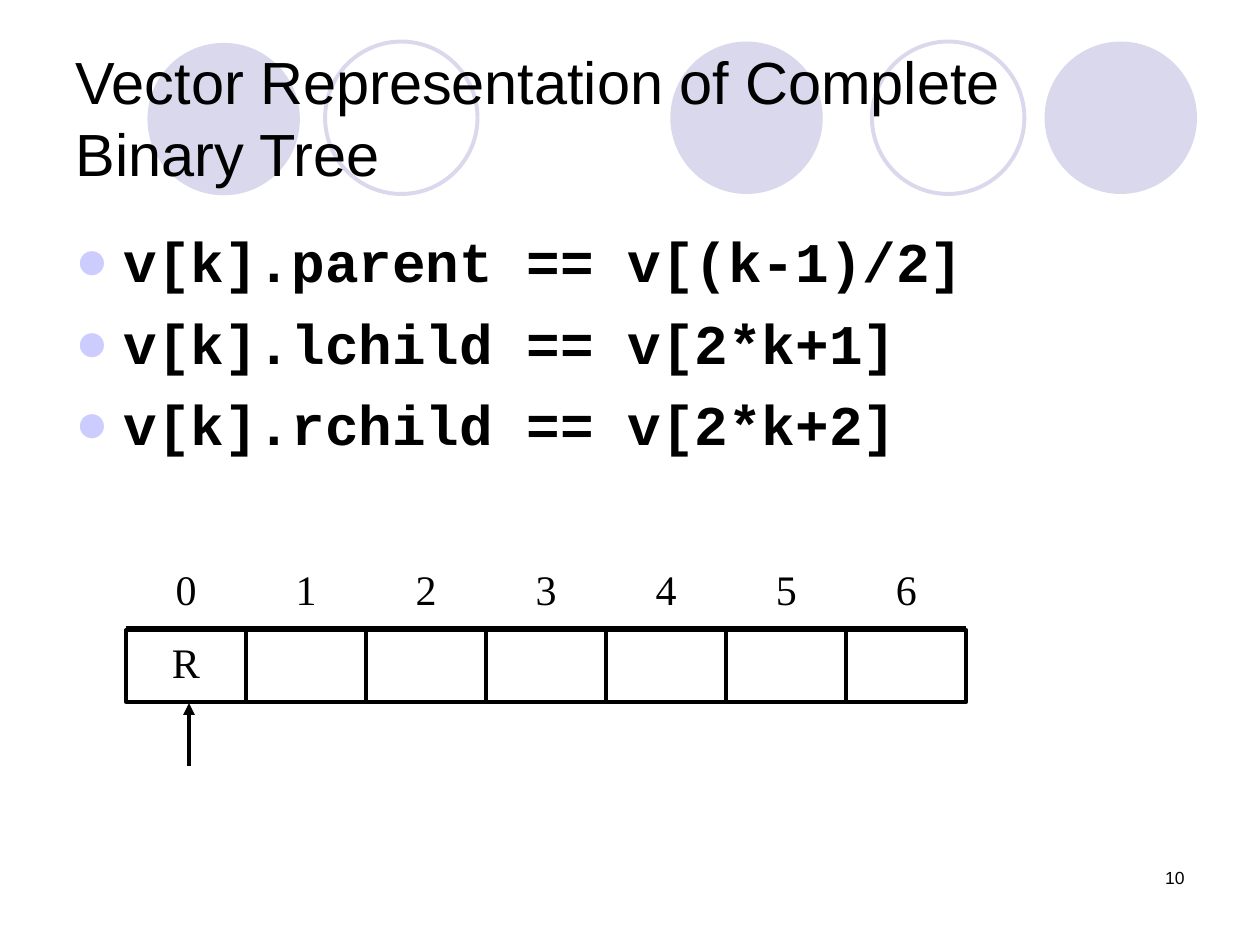
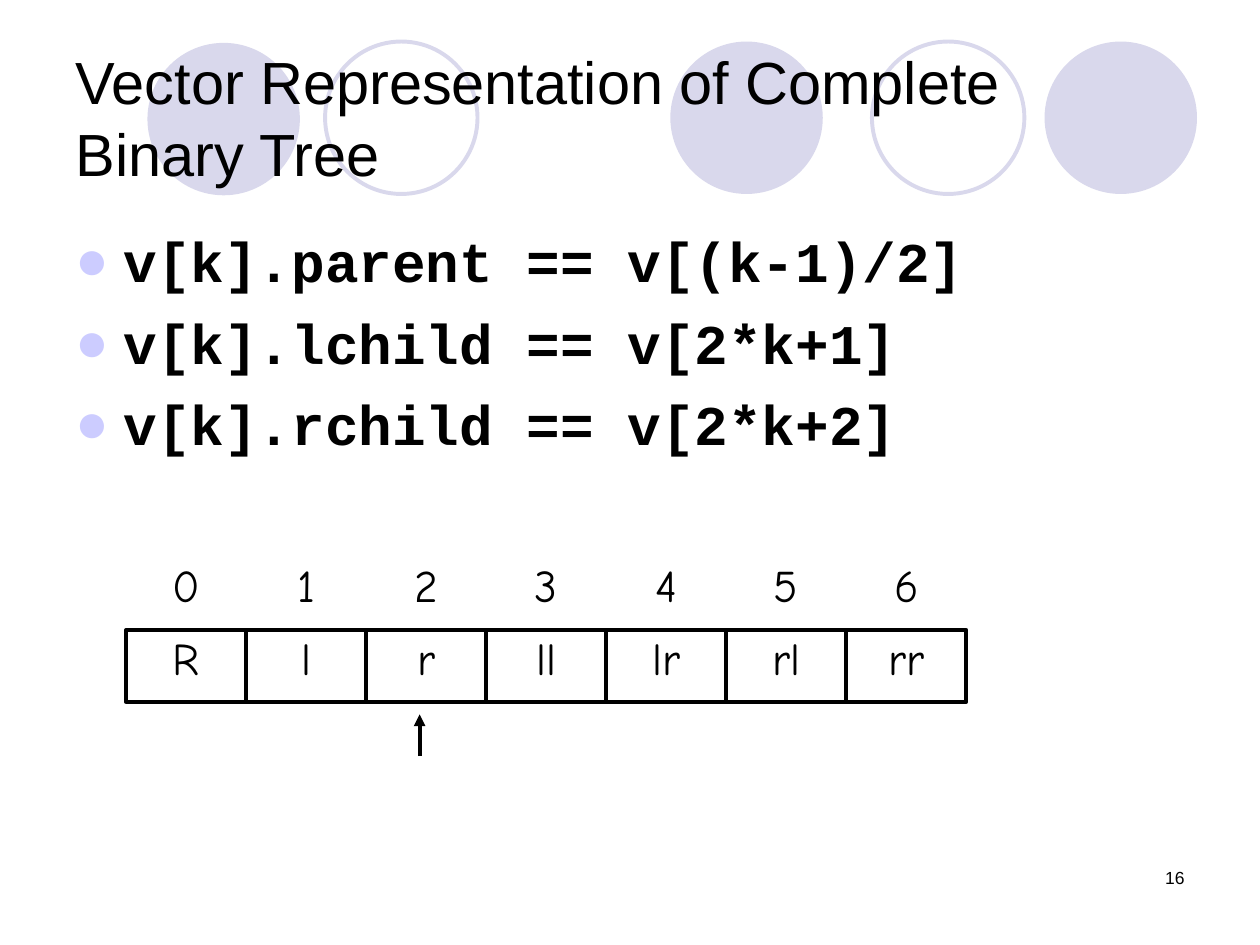
from lxml.etree import SubElement
from pptx import Presentation
from pptx.dml.color import RGBColor
from pptx.enum.shapes import MSO_CONNECTOR, MSO_SHAPE
from pptx.enum.text import MSO_ANCHOR, MSO_AUTO_SIZE, PP_ALIGN
from pptx.oxml.ns import qn
from pptx.util import Inches, Pt

COLORS = {"ink": "000000", "circle": "D9D8EC", "bullet": "CCCCFF"}
LINE_WIDTH = 2.24
TITLE = "Vector Representation of Complete Binary Tree"
RULES = [
    "v[k].parent == v[(k-1)/2]",
    "v[k].lchild == v[2*k+1]",
    "v[k].rchild == v[2*k+2]",
]
CELL_COUNT = 7
ARRAY_LEFT, ARRAY_TOP, INDEX_TOP = 1, 5, 4.42
CELL_WIDTH, CELL_HEIGHT = 6.67 / CELL_COUNT, 0.57
ARRAY_RIGHT = ARRAY_LEFT + CELL_COUNT * CELL_WIDTH
ARRAY_BOTTOM = ARRAY_TOP + CELL_HEIGHT
CELL_EDGES = [ARRAY_LEFT + index * CELL_WIDTH for index in range(CELL_COUNT + 1)]
SERIF = dict(font="Times New Roman", size=24, align=PP_ALIGN.CENTER)
COMIC = dict(font="Comic Neue", size=25.9, align=PP_ALIGN.CENTER,
             line_spacing=0.9, space_before=7)


def color(name):
    return RGBColor.from_string(COLORS[name])


def write_text(frame, *lines, font="Arial", size=10, bold=False, align=PP_ALIGN.LEFT,
               anchor=MSO_ANCHOR.TOP, line_spacing=1.0, space_before=0):
    frame.word_wrap = True
    frame.auto_size = MSO_AUTO_SIZE.NONE
    frame.vertical_anchor = anchor
    for index, line in enumerate(lines):
        paragraph = frame.add_paragraph() if index else frame.paragraphs[0]
        paragraph.alignment = align
        paragraph.line_spacing = line_spacing
        paragraph.space_before = Pt(space_before)
        run = paragraph.add_run()
        run.text = line
        run.font.name = font
        run.font.size = Pt(size)
        run.font.bold = bold
        run.font.color.rgb = color("ink")


class Deck:
    def __init__(self):
        self.presentation = Presentation()
        self.presentation.slide_width = Inches(10)
        self.presentation.slide_height = Inches(7.5)
        self.slide = None

    def start_slide(self):
        layout = self.presentation.slide_layouts[1]
        self.slide = self.presentation.slides.add_slide(layout)

    def place(self, shape, left, top, width, height):
        shape.left, shape.top = Inches(left), Inches(top)
        shape.width, shape.height = Inches(width), Inches(height)

    def title(self, text):
        shape = self.slide.shapes.title
        self.place(shape, 0.5, 0.3, 9, 1.25)
        write_text(shape.text_frame, text, size=34, anchor=MSO_ANCHOR.MIDDLE)

    def bullets(self, lines):
        shape = self.slide.placeholders[1]
        self.place(shape, 0.5, 1.75, 9, 4.95)
        write_text(shape.text_frame, *lines, font="Courier New", size=32,
                   bold=True, space_before=8)
        for paragraph in shape.text_frame.paragraphs:
            properties = paragraph._p.get_or_add_pPr()
            properties.set("marL", str(Inches(0.38)))
            properties.set("indent", str(-Inches(0.38)))
            bullet_color = SubElement(properties, qn("a:buClr"))
            SubElement(bullet_color, qn("a:srgbClr"), val=COLORS["bullet"])
            SubElement(properties, qn("a:buFont"), typeface="Arial")
            SubElement(properties, qn("a:buChar"), char="●")

    def shape(self, kind, left, top, width, height, fill=None, line=None, shapes=None):
        shapes = shapes or self.slide.shapes
        shape = shapes.add_shape(kind, Inches(left), Inches(top),
                                 Inches(width), Inches(height))
        shape.shadow.inherit = False
        if fill:
            shape.fill.solid()
            shape.fill.fore_color.rgb = color(fill)
        else:
            shape.fill.background()
        if line:
            shape.line.color.rgb = color(line)
            shape.line.width = Pt(LINE_WIDTH)
        else:
            shape.line.fill.background()
        return shape

    def text_box(self, text, left, top, width, height, shapes=None, **style):
        shapes = shapes or self.slide.shapes
        box = shapes.add_textbox(Inches(left), Inches(top),
                                 Inches(width), Inches(height))
        write_text(box.text_frame, text, **style)

    def line(self, x1, y1, x2, y2, arrow=False):
        connector = self.slide.shapes.add_connector(
            MSO_CONNECTOR.STRAIGHT, Inches(x1), Inches(y1), Inches(x2), Inches(y2))
        connector.line.color.rgb = color("ink")
        connector.line.width = Pt(LINE_WIDTH)
        if arrow:
            SubElement(connector.line._get_or_add_ln(), qn("a:tailEnd"), type="triangle")
        SubElement(connector._element.spPr, qn("a:effectLst"))

    def circle_band(self):
        title = self.slide.shapes.title
        for left, top, role in [(5.32, 0.33, "fill"), (8.29, 0.33, "fill"),
                                (1.17, 0.34, "fill"), (6.92, 0.33, "line"),
                                (2.58, 0.33, "line")]:
            circle = self.shape(MSO_SHAPE.OVAL, left, top, 1.21, 1.21,
                                **{role: "circle"})
            title._element.addprevious(circle._element)

    def array(self, values, style):
        for left, value in reversed(list(zip(CELL_EDGES, values))):
            cell = self.shape(MSO_SHAPE.RECTANGLE, left, ARRAY_TOP,
                              CELL_WIDTH, CELL_HEIGHT, line="ink")
            if value:
                write_text(cell.text_frame, value, **style)
        self.line(ARRAY_LEFT, ARRAY_TOP, ARRAY_RIGHT, ARRAY_TOP)
        for edge in CELL_EDGES:
            self.line(edge, ARRAY_TOP, edge, ARRAY_BOTTOM)
        self.line(ARRAY_LEFT, ARRAY_BOTTOM, ARRAY_RIGHT, ARRAY_BOTTOM)
        group = self.slide.shapes.add_group_shape()
        for index in reversed(range(CELL_COUNT)):
            self.text_box(str(index), CELL_EDGES[index], INDEX_TOP, CELL_WIDTH,
                          CELL_HEIGHT, shapes=group.shapes, **style)

    def index_rule(self):
        for left, right in zip(CELL_EDGES, CELL_EDGES[1:]):
            self.line(left, 4.98, right, 4.98)

    def pointer(self, x, bottom, top):
        self.line(x, bottom, x, top, arrow=True)

    def page_number(self, number):
        self.text_box(str(number), 7.17, 6.83, 2.33, 0.5, align=PP_ALIGN.RIGHT)

    def vector_slide(self, values, style, pointer, number):
        self.start_slide()
        self.circle_band()
        self.title(TITLE)
        self.bullets(RULES)
        self.array(values, style)
        self.pointer(*pointer)
        self.page_number(number)


deck = Deck()
deck.vector_slide(["R"] + [""] * (CELL_COUNT - 1), SERIF, (1.5, 6.08, 5.58), 10)
deck.index_rule()
deck.vector_slide(["R", "l", "r", "ll", "lr", "rl", "rr"], COMIC, (3.33, 6, 5.67), 16)
deck.presentation.save("out.pptx")
